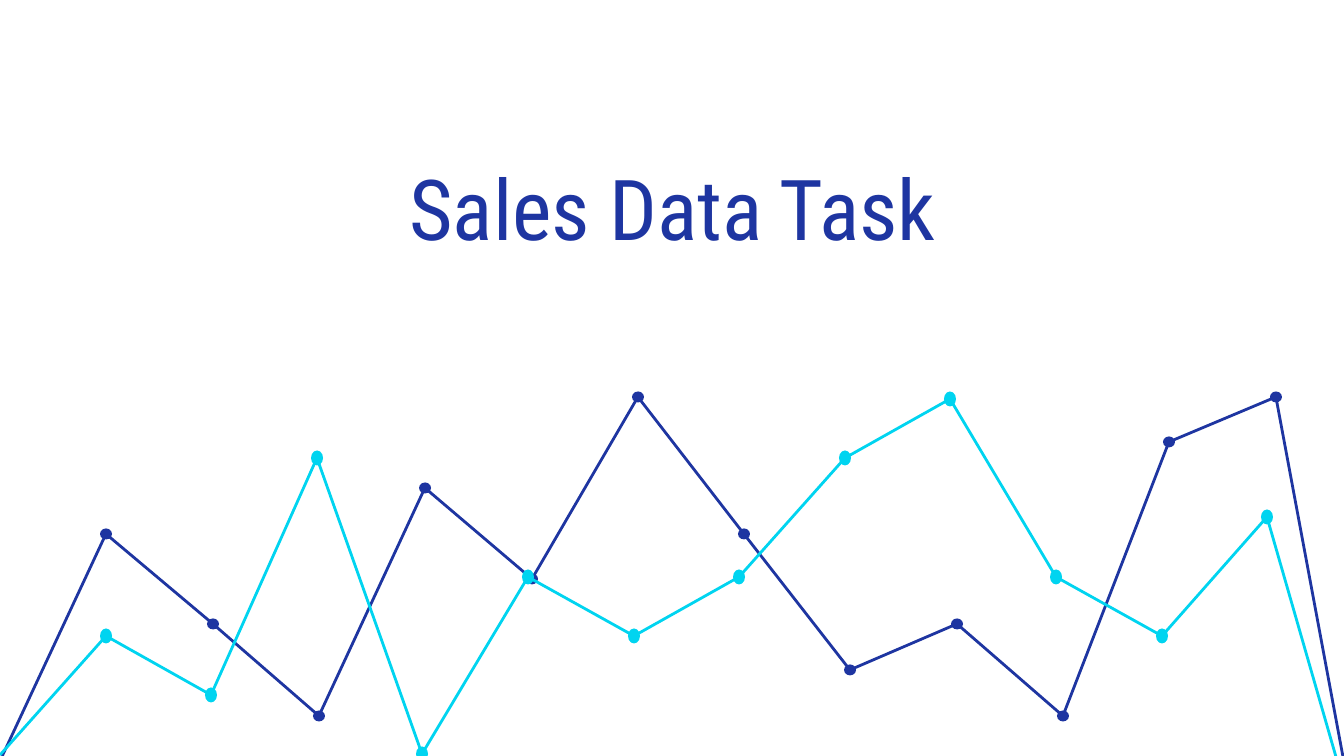
from pptx import Presentation
from pptx.dml.color import RGBColor
from pptx.enum.shapes import MSO_SHAPE
from pptx.enum.text import MSO_ANCHOR, MSO_AUTO_SIZE, PP_ALIGN
from pptx.util import Pt

OVAL = MSO_SHAPE.OVAL
MIDDLE = MSO_ANCHOR.MIDDLE
CENTER = PP_ALIGN.CENTER
NO_FIT = MSO_AUTO_SIZE.NONE

NAVY = RGBColor(0x1E, 0x35, 0xA1)
CYAN = RGBColor(0x00, 0xD4, 0xF0)
FONT = "Roboto Condensed"
SCALE = 914400 / 134.4  # EMU per px
DOT_W = 12

# Height of each dot, in steps down from the peak
NAVY_STEPS = [3, 5, 7, 2, 4, 0, 3, 6, 5, 7, 1, 0]
CYAN_STEPS = [4, 5, 1, 6, 3, 4, 3, 1, 0, 3, 4, 2]


def px(n):
    return round(n * SCALE)


def add_title(slide, text):
    title = slide.shapes.title
    title.left, title.top = px(254), px(140)
    title.width, title.height = px(837), px(133)
    frame = title.text_frame
    frame.text = text
    frame.word_wrap = True
    frame.auto_size = NO_FIT
    frame.vertical_anchor = MIDDLE
    frame.margin_left = frame.margin_right = px(13)
    frame.margin_top = frame.margin_bottom = px(13)
    para = frame.paragraphs[0]
    para.alignment = CENTER
    para.font.name = FONT
    para.font.size = Pt(45)
    para.font.color.rgb = NAVY


def add_line(shapes, points, color):
    pen = shapes.build_freeform(*points[0], scale=SCALE)
    pen.add_line_segments(points[1:], close=False)
    line = pen.convert_to_shape()
    line.shadow.inherit = False
    line.fill.background()
    line.line.color.rgb = color
    line.line.width = Pt(1.5)


def add_dot(shapes, x, y, high, color):
    dot = shapes.add_shape(OVAL, px(x - DOT_W / 2), px(y - high / 2),
                           px(DOT_W), px(high))
    dot.shadow.inherit = False
    dot.fill.solid()
    dot.fill.fore_color.rgb = color
    dot.line.fill.background()


def add_series(slide, steps, gap, peak, step, start, end, high, color):
    """Draw a line through evenly spaced dots, as one group."""
    shapes = slide.shapes.add_group_shape().shapes
    dots = [(round(gap * i), round(peak + step * n))
            for i, n in enumerate(steps, 1)]
    add_line(shapes, [start, *dots, end], color)
    for x, y in dots:
        add_dot(shapes, x, y, high, color)


def main():
    prs = Presentation()
    prs.slide_width, prs.slide_height = px(1344), px(756)
    slide = prs.slides.add_slide(prs.slide_layouts[5])

    add_title(slide, "Sales Data Task")

    # Two decorative line series, navy behind cyan
    add_series(slide, NAVY_STEPS, 106.3, 397, 45.5,
               (0, 761), (1344, 762), 11, NAVY)
    add_series(slide, CYAN_STEPS, 105.6, 399, 59.2,
               (0, 755), (1336, 757), 15, CYAN)

    prs.save("out.pptx")


if __name__ == "__main__":
    main()
